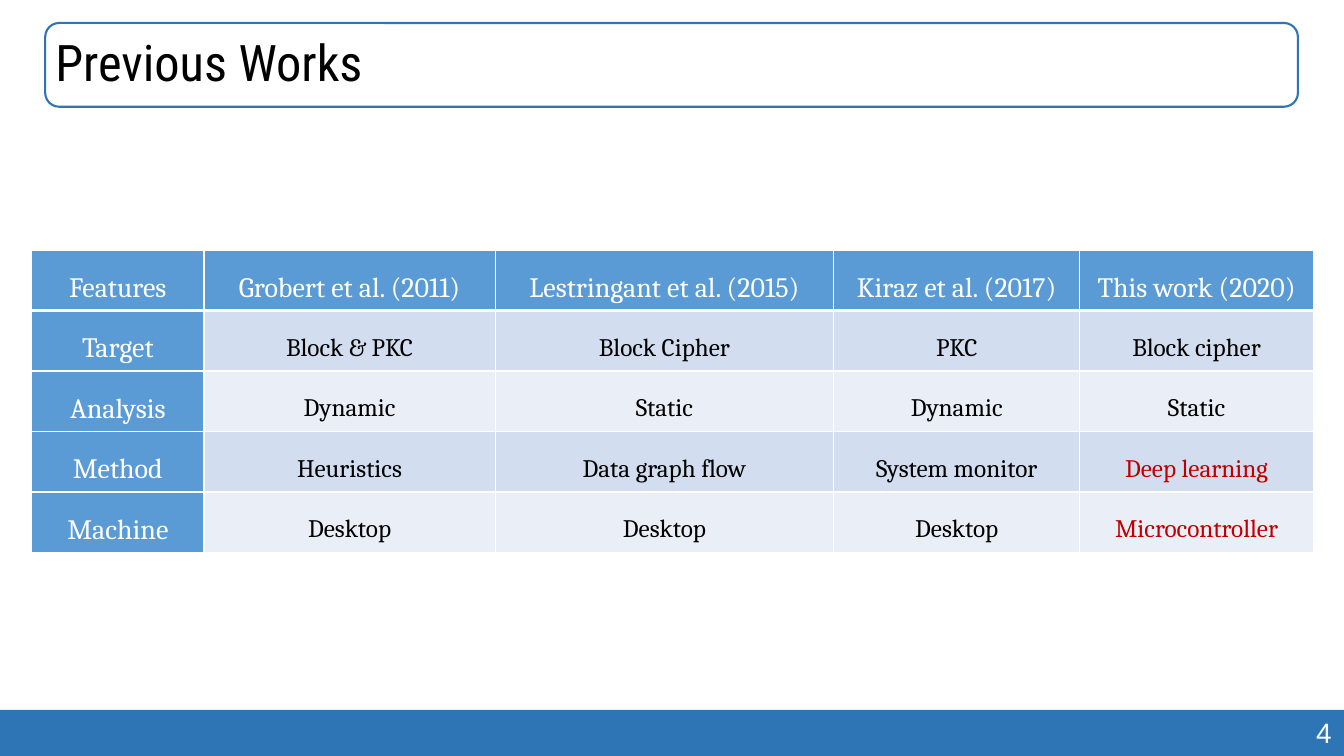
from dataclasses import dataclass

from lxml import etree
from pptx import Presentation
from pptx.dml.color import RGBColor
from pptx.enum.shapes import MSO_SHAPE
from pptx.enum.text import MSO_ANCHOR, MSO_AUTO_SIZE, PP_ALIGN
from pptx.oxml.ns import qn
from pptx.util import Cm, Pt

RECT = MSO_SHAPE.RECTANGLE
ROUND = MSO_SHAPE.ROUNDED_RECTANGLE
MIDDLE = MSO_ANCHOR.MIDDLE
FIXED = MSO_AUTO_SIZE.NONE
LEFT, CENTER, RIGHT = PP_ALIGN.LEFT, PP_ALIGN.CENTER, PP_ALIGN.RIGHT

WHITE = RGBColor(0xFF, 0xFF, 0xFF)
BLACK = RGBColor(0x00, 0x00, 0x00)
RED = RGBColor(0xC0, 0x00, 0x00)
NAVY = RGBColor(0x2E, 0x75, 0xB6)
BLUE = RGBColor(0x5B, 0x9B, 0xD5)
BANDS = (RGBColor(0xEA, 0xEF, 0xF7), RGBColor(0xD2, 0xDE, 0xEF))


@dataclass(frozen=True)
class Box:
    left: float
    top: float
    width: float
    height: float

    def place(self) -> tuple:
        return Cm(self.left), Cm(self.top), Cm(self.width), Cm(self.height)


@dataclass(frozen=True)
class Style:
    font: str
    size: int
    color: RGBColor
    align: PP_ALIGN
    space: float = 1.0


FRAME = Box(1.14, 0.58, 31.57, 2.11)
FOOTER = Box(0, 17.89, 33.87, 1.16)
NUMBER = Box(23.9, 17.91, 9.91, 1.11)
WIDTHS = (4.34, 7.34, 8.53, 6.2, 5.89)
ROW = 1.27

HEADING = Style("Roboto Condensed", 36, BLACK, LEFT, 0.9)
FOLIO = Style("Arial", 20, WHITE, RIGHT)
LABEL = Style("Cambria", 20, WHITE, CENTER, 1.5)
VALUE = Style("Cambria", 18, BLACK, CENTER, 1.5)
ACCENT = Style("Cambria", 18, RED, CENTER, 1.5)

ROWS = (
    ("Features", "Grobert et al. (2011)", "Lestringant et al. (2015)",
     "Kiraz et al. (2017)", "This work (2020)"),
    ("Target", "Block & PKC", "Block Cipher", "PKC", "Block cipher"),
    ("Analysis", "Dynamic", "Static", "Dynamic", "Static"),
    ("Method", "Heuristics", "Data graph flow", "System monitor",
     "Deep learning"),
    ("Machine", "Desktop", "Desktop", "Desktop", "Microcontroller"),
)
NOVEL = {"Deep learning", "Microcontroller"}


def write(frame, text: str, style: Style) -> None:
    frame.text = text
    para = frame.paragraphs[0]
    para.alignment = style.align
    para.line_spacing = style.space
    para.font.name = style.font
    para.font.size = Pt(style.size)
    para.font.color.rgb = style.color


def add_panel(slide, kind: MSO_SHAPE, box: Box):
    shape = slide.shapes.add_shape(kind, *box.place())
    shape.shadow.inherit = False
    return shape


def set_edges(cell, top: float, bottom: float) -> None:
    props = cell._tc.get_or_add_tcPr()
    for tag, width in (("lnL", 1), ("lnR", 1), ("lnT", top), ("lnB", bottom)):
        line = etree.SubElement(props, qn(f"a:{tag}"), w=str(Pt(width)))
        fill = etree.SubElement(line, qn("a:solidFill"))
        etree.SubElement(fill, qn("a:srgbClr"), val=str(WHITE))


def add_grid(slide) -> None:
    box = Box(0.8, 6.3, sum(WIDTHS), ROW * len(ROWS))
    table = slide.shapes.add_table(
        len(ROWS), len(WIDTHS), *box.place()).table
    table.horz_banding = False
    table.first_row = False
    for column, width in zip(table.columns, WIDTHS):
        column.width = Cm(width)
    for r, row in enumerate(ROWS):
        for c, text in enumerate(row):
            cell = table.cell(r, c)
            head = r == 0 or c == 0
            set_edges(cell, 3 if r == 1 else 1, 3 if r == 0 else 1)
            cell.fill.solid()
            cell.fill.fore_color.rgb = BLUE if head else BANDS[r % 2]
            cell.vertical_anchor = MIDDLE
            style = LABEL if head else ACCENT if text in NOVEL else VALUE
            write(cell.text_frame, text, style)


def add_title(slide) -> None:
    frame = add_panel(slide, ROUND, FRAME)
    frame.fill.background()
    frame.line.color.rgb = NAVY
    frame.line.width = Pt(1.5)
    title = slide.shapes.title
    title.left, title.top, title.width, title.height = FRAME.place()
    title.text_frame.auto_size = FIXED
    title.text_frame.vertical_anchor = MIDDLE
    write(title.text_frame, "Previous Works", HEADING)


def add_footer(slide) -> None:
    bar = add_panel(slide, RECT, FOOTER)
    bar.fill.solid()
    bar.fill.fore_color.rgb = NAVY
    bar.line.fill.background()
    frame = slide.shapes.add_textbox(*NUMBER.place()).text_frame
    frame.word_wrap = True
    write(frame, "4", FOLIO)


def main() -> None:
    deck = Presentation()
    deck.slide_width, deck.slide_height = Cm(33.87), Cm(19.05)
    slide = deck.slides.add_slide(deck.slide_layouts[5])
    add_footer(slide)
    add_title(slide)
    add_grid(slide)
    deck.save("out.pptx")


if __name__ == "__main__":
    main()
